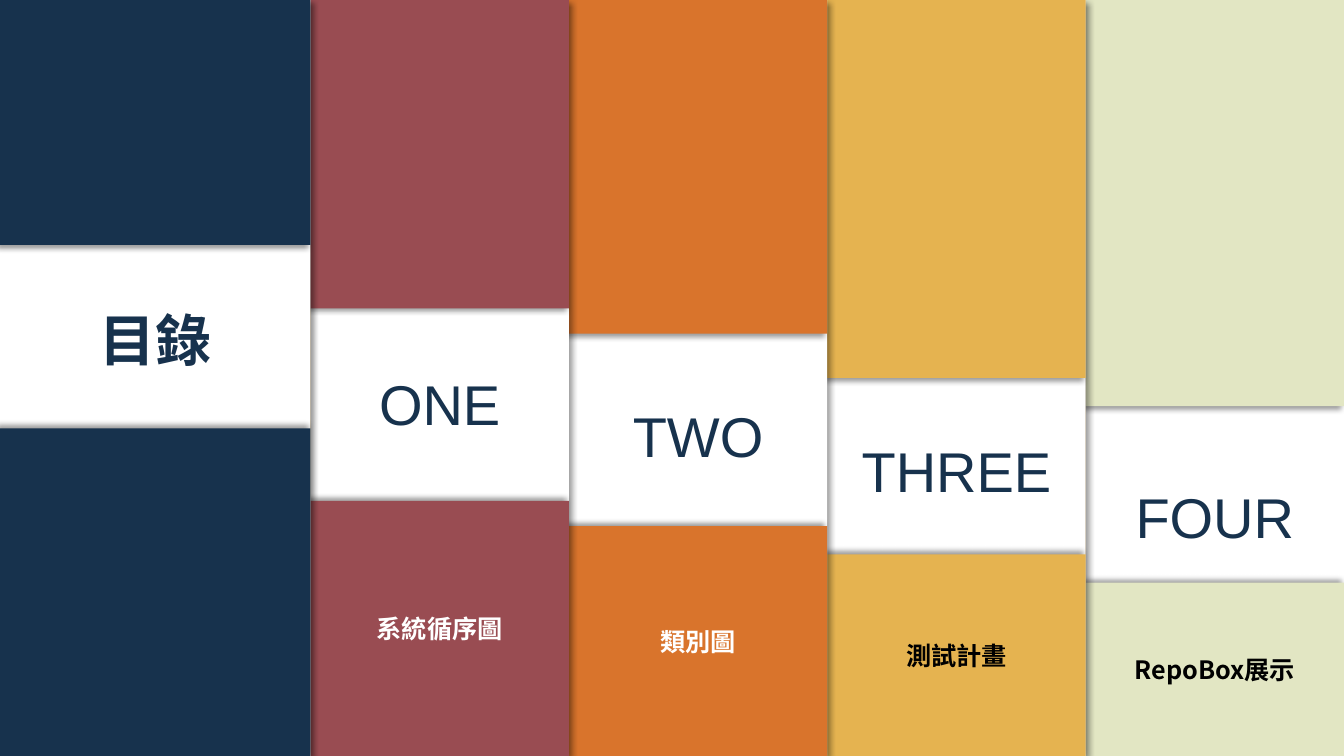
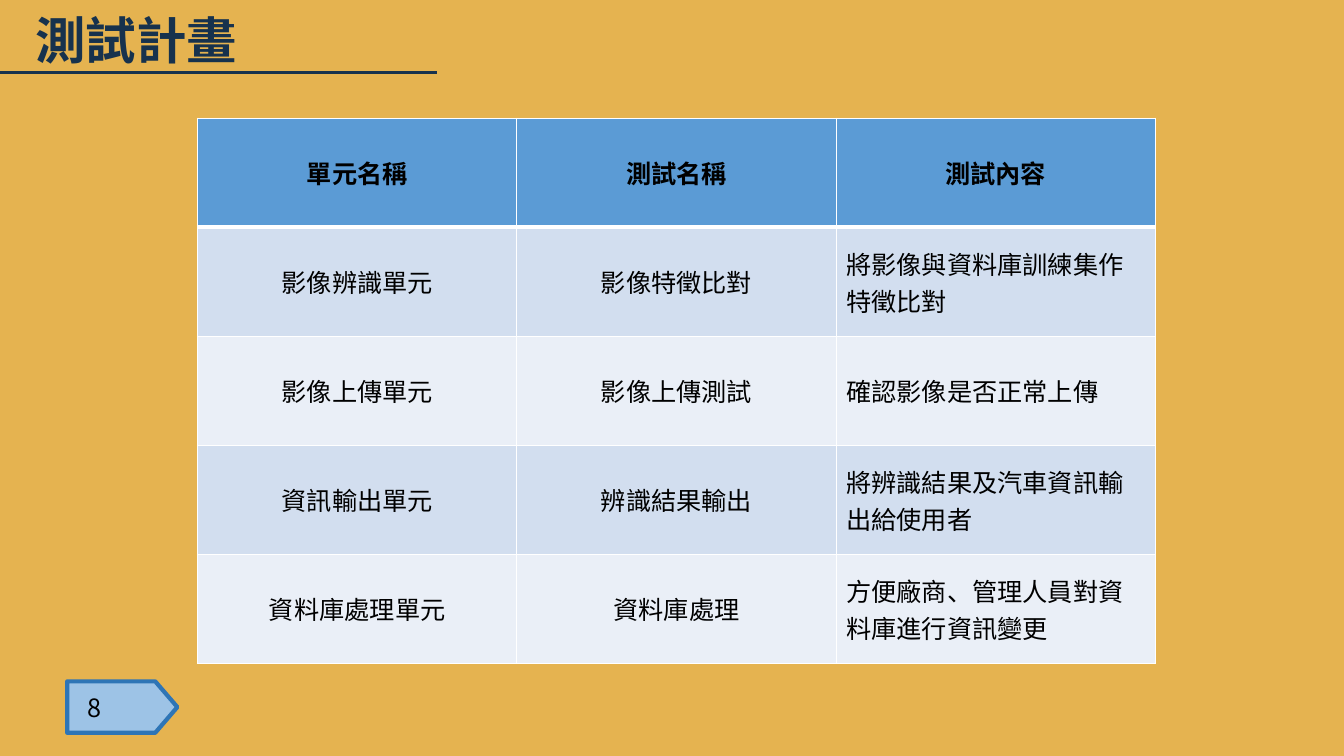
"""Build the contents slide and the test plan slide of a project report."""
from dataclasses import dataclass

from lxml import etree
from pptx import Presentation
from pptx import util as u
from pptx.dml import color
from pptx.enum import shapes, text
from pptx.oxml import ns


@dataclass(frozen=True)
class Theme:
    width: float = 13.33
    height: float = 7.5
    navy: str = "17324D"
    wine: str = "994C52"
    orange: str = "D9742C"
    gold: str = "E5B350"
    sage: str = "E2E6C3"
    white: str = "FFFFFF"
    black: str = "000000"
    header: str = "5B9BD5"
    stripes: tuple = ("D2DEEF", "EAEFF7")
    tag: str = "9DC3E6"
    tag_edge: str = "2E75B6"
    latin: str = "Arial"
    cjk: str = "Noto Sans CJK SC"
    label: int = 40
    title: int = 36
    body: int = 18


THEME = Theme()
CENTER = text.PP_ALIGN.CENTER
LEFT = text.PP_ALIGN.LEFT
MIDDLE = text.MSO_ANCHOR.MIDDLE


def rgb(code):
    return color.RGBColor.from_string(code)


class Deck:
    def __init__(self, theme):
        self.theme = theme
        self.prs = Presentation()
        self.prs.slide_width = u.Inches(theme.width)
        self.prs.slide_height = u.Inches(theme.height)
        self.slide = None
        self.layer = None

    def new_slide(self, background):
        self.slide = self.prs.slides.add_slide(self.prs.slide_layouts[6])
        fill = self.slide.background.fill
        fill.solid()
        fill.fore_color.rgb = rgb(background)
        self.layer = self.slide.shapes

    def new_group(self):
        self.layer = self.slide.shapes.add_group_shape().shapes

    def area(self, left, top, width, height):
        across, down = self.prs.slide_width / 100, self.prs.slide_height / 100
        return [u.Emu(round(share * unit)) for share, unit in
                zip((left, top, width, height), (across, down) * 2)]

    def put_text(self, frame, words, size, ink, font=None, bold=False, align=CENTER):
        frame.text = words
        paragraph = frame.paragraphs[0]
        paragraph.alignment = align
        for run in paragraph.runs:
            face = font or self.theme.cjk
            run.font.name = face
            run.font.size = u.Pt(size)
            run.font.bold = bold
            run.font.color.rgb = rgb(ink)
            etree.SubElement(run.font._element, ns.qn("a:ea"), typeface=face)

    def block(self, place, fill, kind=shapes.MSO_SHAPE.RECTANGLE, shadow_angle=None):
        block = self.layer.add_shape(kind, *self.area(*place))
        block.fill.solid()
        block.fill.fore_color.rgb = rgb(fill)
        block.line.fill.background()
        block.shadow.inherit = False
        if shadow_angle is not None:
            effects = block.element.spPr.find(ns.qn("a:effectLst"))
            shadow = etree.SubElement(
                effects, ns.qn("a:outerShdw"), blurRad=str(u.Pt(4)), dist=str(u.Pt(3)),
                dir=str(shadow_angle * 60000), algn="ctr", rotWithShape="0")
            tint = etree.SubElement(shadow, ns.qn("a:srgbClr"), val=self.theme.black)
            etree.SubElement(tint, ns.qn("a:alpha"), val="40000")
        block.text_frame.word_wrap = True
        block.text_frame.vertical_anchor = MIDDLE
        return block

    def label(self, place, words, size, **style):
        frame = self.layer.add_textbox(*self.area(*place)).text_frame
        frame.word_wrap = True
        frame.vertical_anchor = MIDDLE
        frame.margin_top = frame.margin_bottom = 0
        self.put_text(frame, words, size, self.theme.navy, **style)

    def rule(self, left, top, width):
        x, y, length, _ = self.area(left, top, width, 0)
        rule = self.layer.add_connector(shapes.MSO_CONNECTOR.STRAIGHT, x, y, x + length, y)
        rule.line.color.rgb = rgb(self.theme.navy)
        rule.line.width = u.Pt(1.5)
        etree.SubElement(rule._element.spPr, ns.qn("a:effectLst"))

    def heading(self, words):
        self.rule(0, 9.6, 32.5)
        self.label((1.88, 0.5, 32.9, 9.5), words, self.theme.title, bold=True, align=LEFT)

    def page_tag(self, number):
        tag = self.block((5, 90.13, 8.2, 6.8), self.theme.tag, shapes.MSO_SHAPE.PENTAGON)
        tag.adjustments[0] = 0.43
        tag.line.color.rgb = rgb(self.theme.tag_edge)
        tag.line.width = u.Pt(3)
        tag.text_frame.margin_left = u.Inches(0.2)
        self.put_text(tag.text_frame, number, self.theme.body, self.theme.black, align=LEFT)

    def strip(self, left, width, band, fill, name, name_middle, font, caption, ink):
        top, bottom = band
        self.new_group()
        self.block((left, 0, width, 100), self.theme.white, shadow_angle=45)
        self.block((left, 0, width, top), fill, shadow_angle=135)
        foot = self.block((left, bottom, width, 100 - bottom), fill, shadow_angle=225)
        if caption:
            self.put_text(foot.text_frame, caption, self.theme.body, ink, bold=True)
        name_height = 10.2
        self.label((left, name_middle - name_height / 2, width, name_height), name,
                   self.theme.label, font=font, bold=font == self.theme.cjk)

    def borders(self, cell, above, below):
        widths = {"L": 1, "R": 1, "T": above, "B": below}
        for side, points in widths.items():
            edge = etree.SubElement(cell._tc.get_or_add_tcPr(), ns.qn(f"a:ln{side}"),
                                    w=str(u.Pt(points)))
            paint = etree.SubElement(edge, ns.qn("a:solidFill"))
            etree.SubElement(paint, ns.qn("a:srgbClr"), val=self.theme.white)

    def table(self, place, rows):
        grid = self.layer.add_table(len(rows), len(rows[0]), *self.area(*place)).table
        for r, entries in enumerate(rows):
            is_header = r == 0
            fill = self.theme.header if is_header else self.theme.stripes[(r - 1) % 2]
            for c, words in enumerate(entries):
                cell = grid.cell(r, c)
                self.borders(cell, above=3 if r == 1 else 1, below=3 if is_header else 1)
                cell.fill.solid()
                cell.fill.fore_color.rgb = rgb(fill)
                cell.vertical_anchor = MIDDLE
                is_description = c == len(entries) - 1 and not is_header
                self.put_text(cell.text_frame, words, self.theme.body, self.theme.black,
                              bold=is_header, align=LEFT if is_description else CENTER)


def contents_slide(deck):
    t = deck.theme
    deck.new_slide(t.gold)
    lead_width = 23.1
    chapters = [
        ((40.8, 66.27), t.wine, "ONE", 53.27, t.latin, "系統循序圖", t.white),
        ((44.13, 69.6), t.orange, "TWO", 57.53, t.latin, "類別圖", t.white),
        ((50, 73.33), t.gold, "THREE", 62.2, t.latin, "測試計畫", t.black),
        ((53.73, 77.07), t.sage, "FOUR", 68.2, t.latin, "RepoBox展示", t.black),
    ]
    chapter_width = (100 - lead_width) / len(chapters)
    for index, chapter in reversed(list(enumerate(chapters))):
        deck.strip(lead_width + index * chapter_width, chapter_width, *chapter)
    deck.strip(0, lead_width, (32.4, 56.67), t.navy, "目錄", 44.87, t.cjk, "", t.white)


def test_plan_slide(deck):
    deck.new_slide(deck.theme.gold)
    deck.heading("測試計畫")
    deck.page_tag("8")
    deck.table((14.7, 15.65, 71.27, 72.1), [
        ("單元名稱", "測試名稱", "測試內容"),
        ("影像辨識單元", "影像特徵比對", "將影像與資料庫訓練集作特徵比對"),
        ("影像上傳單元", "影像上傳測試", "確認影像是否正常上傳"),
        ("資訊輸出單元", "辨識結果輸出", "將辨識結果及汽車資訊輸出給使用者"),
        ("資料庫處理單元", "資料庫處理", "方便廠商、管理人員對資料庫進行資訊變更"),
    ])


def main():
    deck = Deck(THEME)
    contents_slide(deck)
    test_plan_slide(deck)
    deck.prs.save("out.pptx")


if __name__ == "__main__":
    main()
